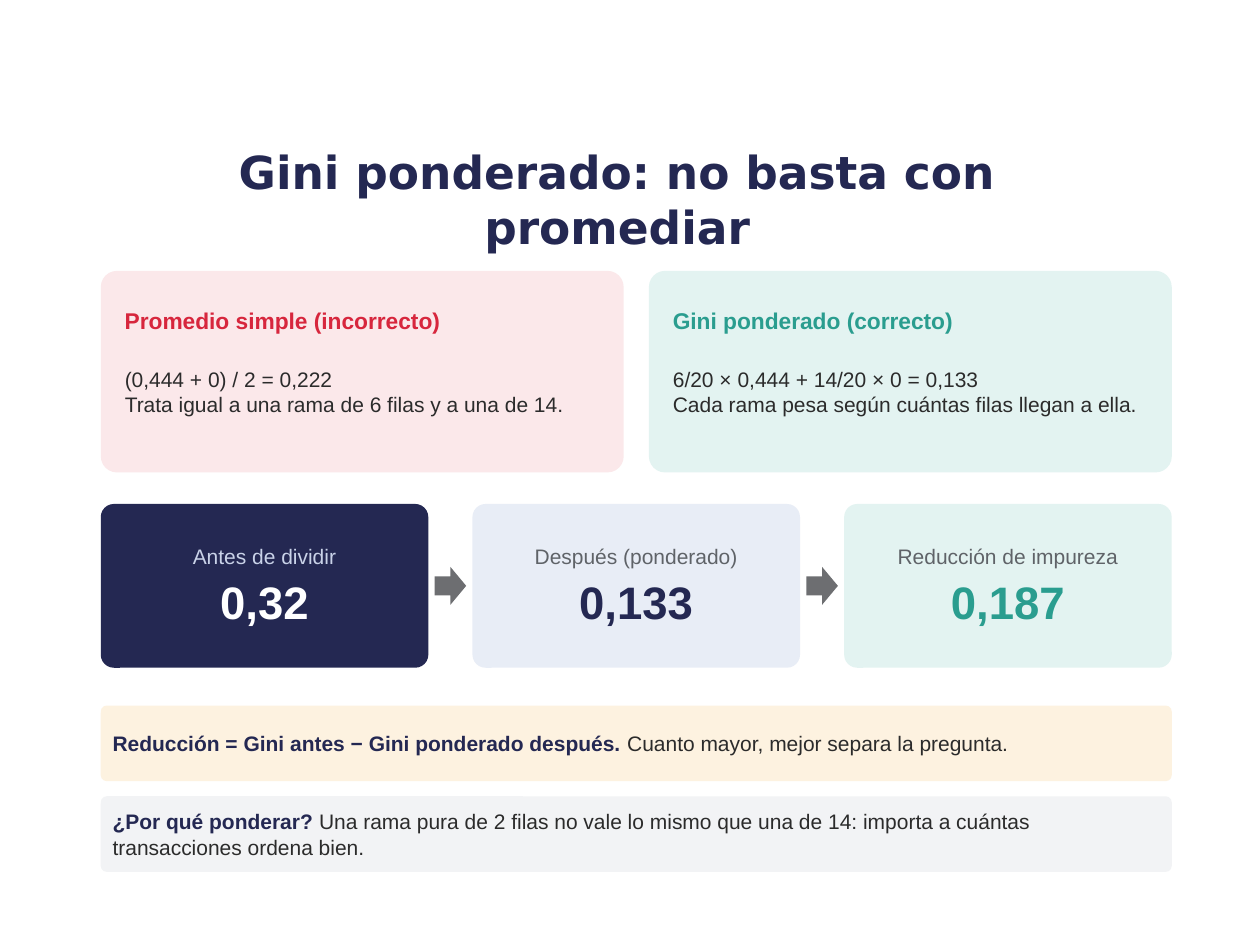
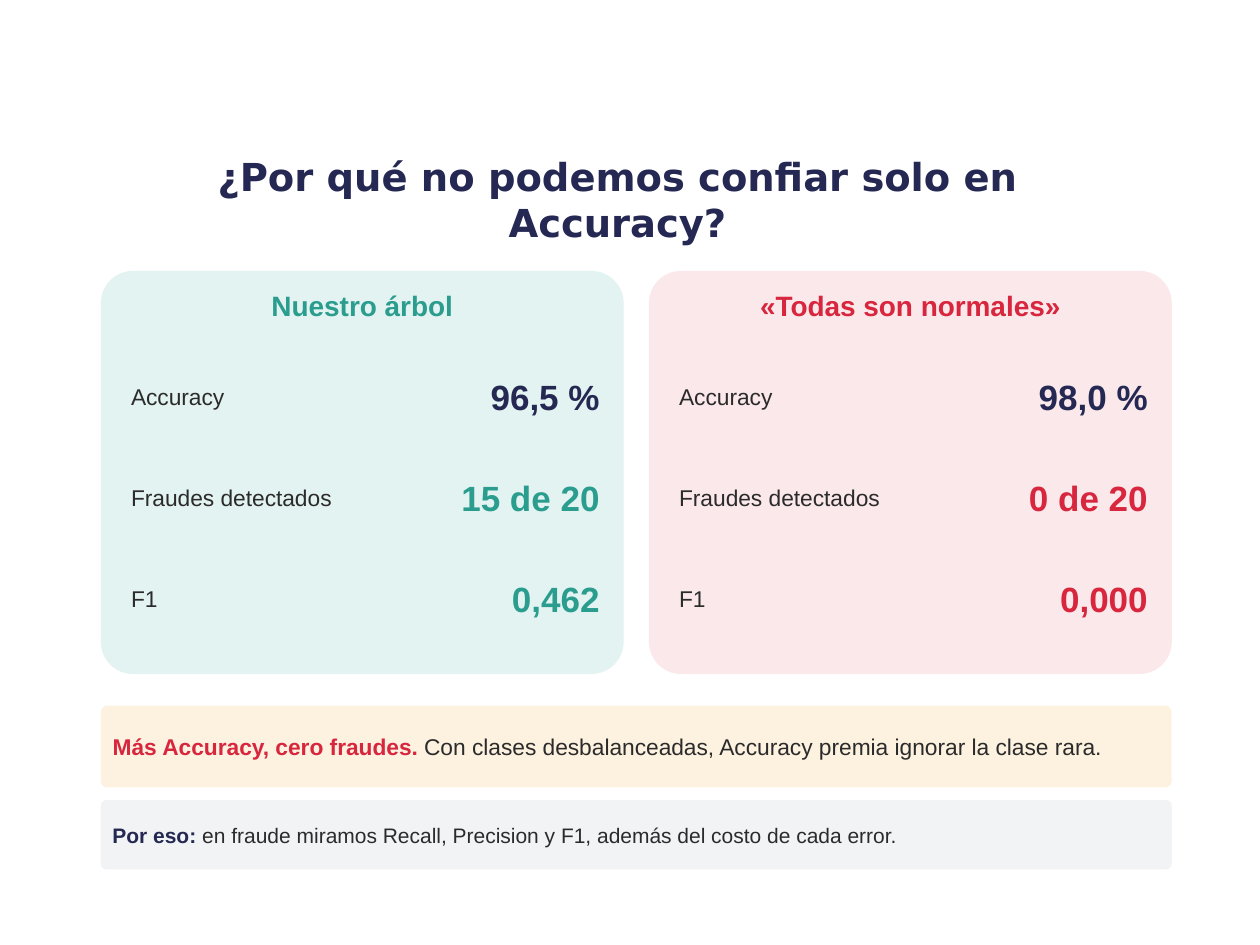
from dataclasses import dataclass

from pptx import Presentation
from pptx.dml.color import RGBColor
from pptx.enum.shapes import MSO_SHAPE
from pptx.enum.text import MSO_ANCHOR, MSO_AUTO_SIZE, PP_ALIGN
from pptx.util import Inches, Pt

NAVY, RED, TEAL, INK = "242852", "D7263D", "2A9D8F", "2B2B2B"
GREY, ARROW_GREY, PALE_BLUE, WHITE = "5F6368", "6D6E71", "C9D2E8", "FFFFFF"
PINK, MINT, LAVENDER, CREAM, SMOKE = "FBE8EA", "E3F3F1", "E8EDF6", "FDF2E0", "F2F3F5"

BODY_FONT, TITLE_FONT = "Arial", "DejaVu Sans"
LEFT, WIDTH = 0.8, 8.5
CARD_TOP, CARD_W, CARD_GAP = 2.15, 4.15, 0.2
STAT_TOP, STAT_W, STAT_H, STAT_GAP = 4.0, 2.6, 1.3, 0.35
ARROW_W, ARROW_H = 0.25, 0.3
ROW_TOP, ROW_STEP = 2.85, 0.8


@dataclass
class Run:
    text: str
    size: float
    color: str
    bold: bool = False
    font: str = BODY_FONT


@dataclass
class Method:
    """A way of averaging the Gini of the branches."""
    name: str
    formula: str
    remark: str
    fill: str
    accent: str


@dataclass
class Stat:
    label: str
    value: str
    fill: str
    label_color: str
    value_color: str


@dataclass
class Model:
    name: str
    scores: tuple[str, ...]
    fill: str
    accent: str


@dataclass
class Note:
    top: float
    height: float
    lead: str
    text: str
    fill: str
    lead_color: str = NAVY
    size: float = 12


METHODS = [
    Method("Promedio simple (incorrecto)", "(0,444 + 0) / 2 = 0,222",
           "Trata igual a una rama de 6 filas y a una de 14.", PINK, RED),
    Method("Gini ponderado (correcto)", "6/20 × 0,444 + 14/20 × 0 = 0,133",
           "Cada rama pesa según cuántas filas llegan a ella.", MINT, TEAL),
]
STATS = [
    Stat("Antes de dividir", "0,32", NAVY, PALE_BLUE, WHITE),
    Stat("Después (ponderado)", "0,133", LAVENDER, GREY, NAVY),
    Stat("Reducción de impureza", "0,187", MINT, GREY, TEAL),
]
GINI_NOTES = [
    Note(5.6, 0.6, "Reducción = Gini antes − Gini ponderado después. ",
         "Cuanto mayor, mejor separa la pregunta.", CREAM),
    Note(6.32, 0.6, "¿Por qué ponderar? ",
         "Una rama pura de 2 filas no vale lo mismo que una de 14: "
         "importa a cuántas transacciones ordena bien.", SMOKE),
]
METRICS = ("Accuracy", "Fraudes detectados", "F1")
MODELS = [
    Model("Nuestro árbol", ("96,5 %", "15 de 20", "0,462"), MINT, TEAL),
    Model("«Todas son normales»", ("98,0 %", "0 de 20", "0,000"), PINK, RED),
]
ACCURACY_NOTES = [
    Note(5.6, 0.65, "Más Accuracy, cero fraudes. ",
         "Con clases desbalanceadas, Accuracy premia ignorar la clase rara.",
         CREAM, RED, 13),
    Note(6.35, 0.55, "Por eso: ",
         "en fraude miramos Recall, Precision y F1, además del costo de cada error.",
         SMOKE),
]


def rgb(color: str) -> RGBColor:
    return RGBColor.from_string(color)


def write(tf, paragraphs: list[list[Run]], align=PP_ALIGN.LEFT, after: float = 0,
          **frame) -> None:
    """Fill a text frame; a line break inside a run starts a new line."""
    tf.word_wrap = True
    for name, value in frame.items():
        setattr(tf, name, value)
    for i, runs in enumerate(paragraphs):
        p = tf.paragraphs[0] if i == 0 else tf.add_paragraph()
        p.alignment, p.space_after = align, Pt(after)
        for run in runs:
            for j, line in enumerate(run.text.split("\n")):
                if j:
                    p.add_line_break()
                r = p.add_run()
                r.text = line
                style = {"size": Pt(run.size), "bold": run.bold, "name": run.font}
                for name, value in style.items():
                    setattr(r.font, name, value)
                r.font.color.rgb = rgb(run.color)


def margins(size: float) -> dict:
    return {f"margin_{side}": Inches(size) for side in ("left", "top", "right", "bottom")}


def add_label(s, x: float, y: float, w: float, h: float, run: Run,
              align=PP_ALIGN.LEFT, anchor=MSO_ANCHOR.MIDDLE) -> None:
    tf = s.shapes.add_textbox(Inches(x), Inches(y), Inches(w), Inches(h)).text_frame
    write(tf, [[run]], align, 4, vertical_anchor=anchor,
          auto_size=MSO_AUTO_SIZE.SHAPE_TO_FIT_TEXT, **margins(0.04))


def add_filled(s, kind, x: float, y: float, w: float, h: float, fill: str):
    sp = s.shapes.add_shape(kind, Inches(x), Inches(y), Inches(w), Inches(h))
    sp.shadow.inherit = False
    sp.fill.solid()
    sp.fill.fore_color.rgb = rgb(fill)
    sp.line.fill.background()
    return sp


def add_panel(s, x: float, y: float, w: float, h: float, fill: str,
              paragraphs: list[list[Run]] = (), align=PP_ALIGN.LEFT) -> None:
    sp = add_filled(s, MSO_SHAPE.ROUNDED_RECTANGLE, x, y, w, h, fill)
    sp.adjustments[0] = 0.08
    if paragraphs:
        write(sp.text_frame, paragraphs, align, 3,
              vertical_anchor=MSO_ANCHOR.MIDDLE, **margins(0.08))


def add_titled_slide(prs, title: str, size: float):
    s = prs.slides.add_slide(prs.slide_layouts[5])
    sp = s.shapes.title
    sp.left, sp.top, sp.width, sp.height = map(Inches, (0.75, 1.18, 8.3, 0.8))
    write(sp.text_frame, [[Run(title, size, NAVY, True, TITLE_FONT)]], PP_ALIGN.CENTER,
          vertical_anchor=MSO_ANCHOR.MIDDLE, auto_size=MSO_AUTO_SIZE.NONE)
    return s


def card_left(column: int) -> float:
    return LEFT + column * (CARD_W + CARD_GAP)


def add_method(s, column: int, method: Method) -> None:
    x = card_left(column)
    add_panel(s, x, CARD_TOP, CARD_W, 1.6, method.fill)
    add_label(s, x + 0.15, 2.27, 3.9, 0.55, Run(method.name, 13, method.accent, True))
    add_label(s, x + 0.15, 2.87, 3.85, 0.8,
              Run(f"{method.formula}\n{method.remark}", 12, INK), anchor=MSO_ANCHOR.TOP)


def add_stat(s, column: int, stat: Stat) -> None:
    """Draw a figure, with an arrow from the figure before it."""
    x = LEFT + column * (STAT_W + STAT_GAP)
    if column:
        add_filled(s, MSO_SHAPE.RIGHT_ARROW, x - (STAT_GAP + ARROW_W) / 2,
                   STAT_TOP + (STAT_H - ARROW_H) / 2, ARROW_W, ARROW_H, ARROW_GREY)
    add_panel(s, x, STAT_TOP, STAT_W, STAT_H, stat.fill,
              [[Run(stat.label, 12, stat.label_color)],
               [Run(stat.value, 26, stat.value_color, True)]], PP_ALIGN.CENTER)


def add_model(s, column: int, model: Model) -> None:
    x = card_left(column)
    add_panel(s, x, CARD_TOP, CARD_W, 3.2, model.fill)
    add_label(s, x, 2.25, CARD_W, 0.45, Run(model.name, 16, model.accent, True),
              PP_ALIGN.CENTER, MSO_ANCHOR.TOP)
    for i, (metric, score) in enumerate(zip(METRICS, model.scores)):
        y = ROW_TOP + i * ROW_STEP
        color = model.accent if i else NAVY
        add_label(s, x + 0.2, y, 2.2, 0.6, Run(metric, 13, INK))
        add_label(s, x + 2.3, y, 1.7, 0.6, Run(score, 20, color, True), PP_ALIGN.RIGHT)


def add_note(s, note: Note) -> None:
    add_panel(s, LEFT, note.top, WIDTH, note.height, note.fill,
              [[Run(note.lead, note.size, note.lead_color, True),
                Run(note.text, note.size, INK)]])


def build_gini_slide(prs) -> None:
    s = add_titled_slide(prs, "Gini ponderado: no basta con promediar", 26)
    for column, method in enumerate(METHODS):
        add_method(s, column, method)
    for column, stat in enumerate(STATS):
        add_stat(s, column, stat)
    for note in GINI_NOTES:
        add_note(s, note)


def build_accuracy_slide(prs) -> None:
    s = add_titled_slide(prs, "¿Por qué no podemos confiar solo en Accuracy?", 22)
    for column, model in enumerate(MODELS):
        add_model(s, column, model)
    for note in ACCURACY_NOTES:
        add_note(s, note)


def main() -> None:
    prs = Presentation()
    prs.slide_width, prs.slide_height = Inches(10), Inches(7.5)
    build_gini_slide(prs)
    build_accuracy_slide(prs)
    prs.save("out.pptx")


if __name__ == "__main__":
    main()
